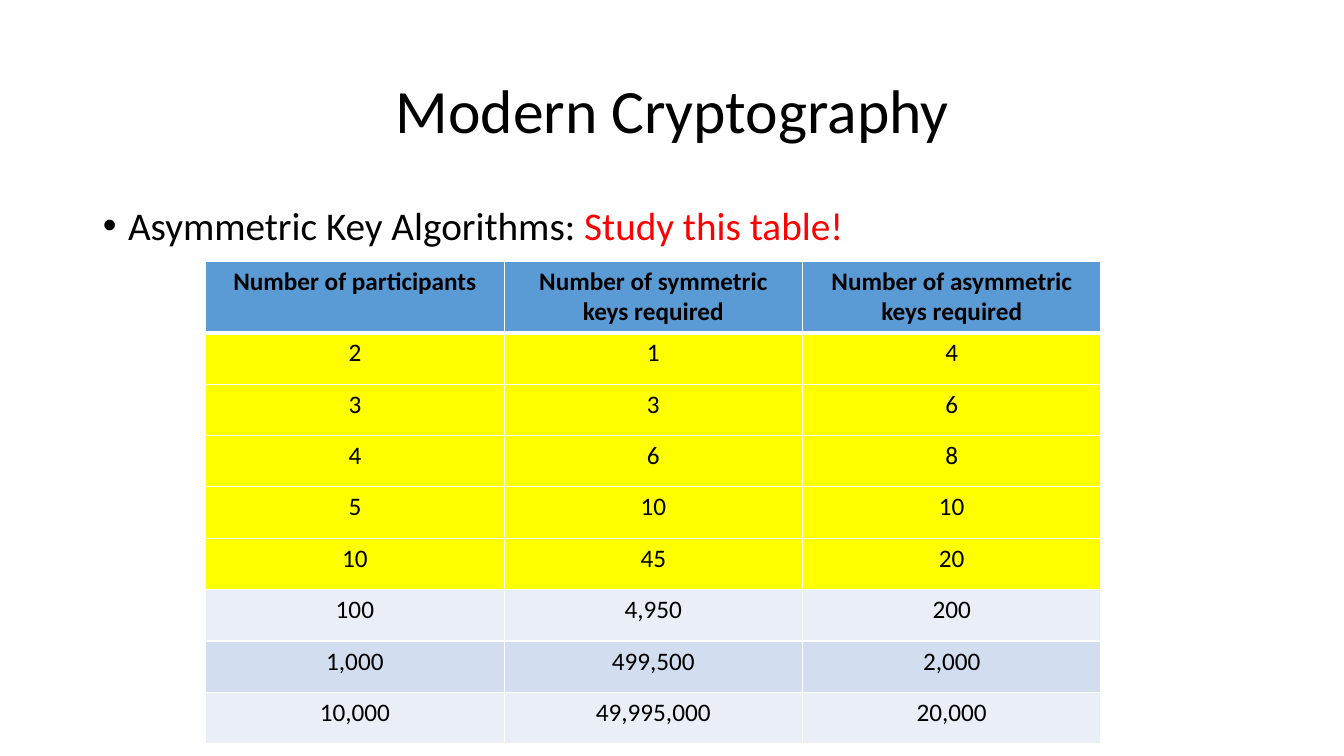
"""Build a slide comparing symmetric and asymmetric key counts."""
from dataclasses import dataclass

from lxml.etree import SubElement
from pptx import Presentation
from pptx.dml.color import RGBColor
from pptx.enum.text import MSO_ANCHOR, MSO_AUTO_SIZE, PP_ALIGN
from pptx.oxml.ns import qn
from pptx.util import Inches, Pt

FONT = "Calibri"
COLORS = {
    "text": "000000",
    "alert": "FF0000",
    "header": "5B9BD5",
    "highlight": "FFFF00",
    "light": "EAEFF7",
    "dark": "D2DEEF",
    "border": "FFFFFF",
}
HEADINGS = (
    "Number of participants",
    "Number of symmetric keys required",
    "Number of asymmetric keys required",
)


@dataclass(frozen=True)
class KeyRow:
    """Key counts for one group size, with the row's fill."""

    participants: int
    fill: str = "highlight"

    def values(self) -> tuple[str, ...]:
        """Return the participants and both key counts as text."""
        size = self.participants
        return tuple(f"{number:,}" for number in (size, size * (size - 1) // 2, 2 * size))


KEY_ROWS = (
    *(KeyRow(size) for size in (2, 3, 4, 5, 10)),
    KeyRow(100, "light"),
    KeyRow(1000, "dark"),
    KeyRow(10000, "light"),
)


def add_span(para, text: str, *, size: float, color: str = "text", bold: bool = False) -> None:
    """Add a formatted run to a paragraph."""
    span = para.add_run()
    span.text = text
    span.font.name = FONT
    span.font.size = Pt(size)
    span.font.bold = bold
    span.font.color.rgb = RGBColor.from_string(COLORS[color])


def place(box, left: float, top: float, width: float, height: float) -> None:
    """Position a placeholder, in inches, and fix its text size."""
    box.left, box.top = Inches(left), Inches(top)
    box.width, box.height = Inches(width), Inches(height)
    box.text_frame.auto_size = MSO_AUTO_SIZE.NONE
    box.text_frame.word_wrap = True


def add_title(box) -> None:
    """Write the slide title."""
    place(box, 0.92, 0.4, 11.5, 1.45)
    box.text_frame.vertical_anchor = MSO_ANCHOR.MIDDLE
    para = box.text_frame.paragraphs[0]
    para.alignment = PP_ALIGN.CENTER
    para.line_spacing = 0.9
    add_span(para, "Modern Cryptography", size=44)


def add_body(box) -> None:
    """Write the bulleted lead-in to the table."""
    place(box, 0.92, 2, 11.5, 4.76)
    para = box.text_frame.paragraphs[0]
    para.line_spacing = 0.9
    para.space_before = Pt(10)
    properties = para._p.get_or_add_pPr()
    properties.set("marL", str(Inches(0.25)))
    properties.set("indent", str(Inches(-0.25)))
    SubElement(properties, qn("a:buFont"), typeface="Arial")
    SubElement(properties, qn("a:buChar"), char="•")
    add_span(para, "Asymmetric Key Algorithms: ", size=28)
    add_span(para, "Study this table!", size=28, color="alert")


def add_borders(cell, *, top: float, bottom: float) -> None:
    """Draw the four cell borders, with widths in points."""
    properties = cell._tc.get_or_add_tcPr()
    for side, width in {"L": 1, "R": 1, "T": top, "B": bottom}.items():
        line = SubElement(properties, qn(f"a:ln{side}"), w=str(Pt(width)))
        fill = SubElement(line, qn("a:solidFill"))
        SubElement(fill, qn("a:srgbClr"), val=COLORS["border"])


def fill_row(cells, texts: tuple[str, ...], *, fill: str, bold: bool = False,
             top: float = 1, bottom: float = 1) -> None:
    """Write and format one table row."""
    for cell, text in zip(cells, texts):
        add_borders(cell, top=top, bottom=bottom)
        cell.fill.solid()
        cell.fill.fore_color.rgb = RGBColor.from_string(COLORS[fill])
        para = cell.text_frame.paragraphs[0]
        para.alignment = PP_ALIGN.CENTER
        add_span(para, text, size=18, bold=bold)


def add_key_table(slide) -> None:
    """Add the table of key counts."""
    frame = slide.shapes.add_table(
        len(KEY_ROWS) + 1, len(HEADINGS),
        Inches(2.04), Inches(2.59), Inches(8.89), Inches(4.7),
    )
    table = frame.table
    for column in table.columns:
        column.width = Inches(2.96)
    header, *rows = table.rows
    header.height = Inches(0.62)
    fill_row(header.cells, HEADINGS, fill="header", bold=True, bottom=3)
    for index, (row, keys) in enumerate(zip(rows, KEY_ROWS)):
        row.height = Inches(0.51)
        fill_row(row.cells, keys.values(), fill=keys.fill, top=1 if index else 3)


def main() -> None:
    """Build and save the deck."""
    deck = Presentation()
    deck.slide_width, deck.slide_height = Inches(13.33), Inches(7.5)
    page = deck.slides.add_slide(deck.slide_layouts[1])
    add_title(page.shapes.title)
    add_body(page.placeholders[1])
    add_key_table(page)
    deck.save("out.pptx")


if __name__ == "__main__":
    main()
